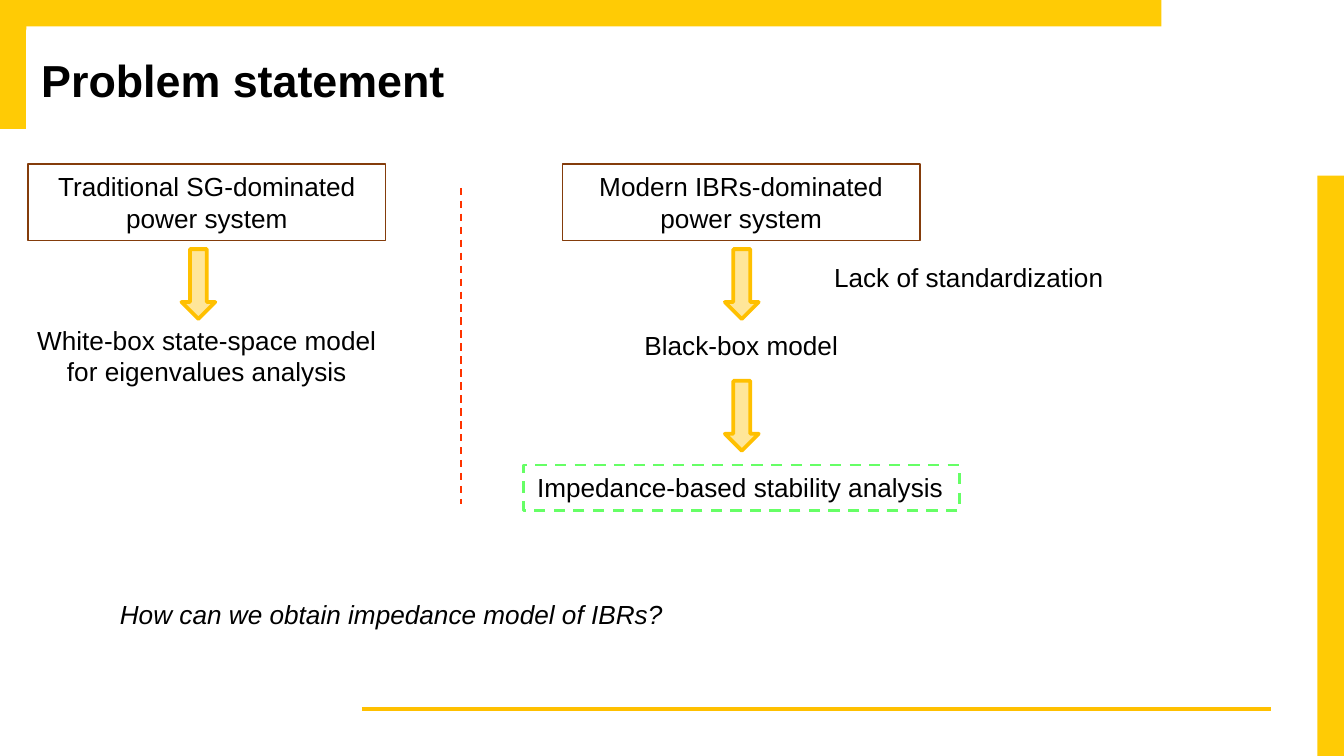
from lxml import etree
from pptx import Presentation
from pptx.dml.color import RGBColor
from pptx.enum import dml, shapes, text
from pptx.oxml import ns
from pptx.util import Cm, Pt

WHITE = RGBColor(0xFF, 0xFF, 0xFF)
BLACK = RGBColor(0x00, 0x00, 0x00)
YELLOW = RGBColor(0xFF, 0xCB, 0x05)
GOLD = RGBColor(0xFF, 0xC0, 0x00)
PALE_GOLD = RGBColor(0xFF, 0xE6, 0x99)
BROWN = RGBColor(0x84, 0x3C, 0x0B)
GREEN = RGBColor(0x66, 0xFF, 0x66)
RED = RGBColor(0xFF, 0x33, 0x00)
CENTER = text.PP_ALIGN.CENTER
LEFT = text.PP_ALIGN.LEFT

presentation = Presentation()
presentation.slide_width = Cm(25.4)
presentation.slide_height = Cm(14.29)
slide = presentation.slides.add_slide(presentation.slide_layouts[6])


def add_shape(kind, box, fill=None, line=None, width=1):
    shape = slide.shapes.add_shape(kind, *[Cm(length) for length in box])
    shape.shadow.inherit = False
    for format_fill, color in ((shape.fill, fill), (shape.line.fill, line)):
        if color is None:
            format_fill.background()
        else:
            format_fill.solid()
            format_fill.fore_color.rgb = color
    if line is not None:
        shape.line.width = Pt(width)
    return shape


def write(shape, words, size=14, align=CENTER, anchor=text.MSO_ANCHOR.TOP, wrap=True):
    frame = shape.text_frame
    frame.text = words
    frame.word_wrap = wrap
    frame.vertical_anchor = anchor
    paragraph = frame.paragraphs[0]
    paragraph.alignment = align
    font = paragraph.runs[0].font
    font.name = "Arial"
    font.size = Pt(size)
    font.color.rgb = BLACK
    return font


RECTANGLE = shapes.MSO_SHAPE.RECTANGLE
for bar in ((0, 0, 0.5, 2.44), (0, 0, 21.95, 0.5), (24.9, 3.32, 0.5, 11.05)):
    add_shape(RECTANGLE, bar, YELLOW)

title = add_shape(RECTANGLE, (0.53, 0.58, 22.05, 1.85), WHITE, WHITE, 2)
write(title, "Problem statement", 24, LEFT, text.MSO_ANCHOR.MIDDLE).bold = True

for left, words in (
    (0.53, "Traditional SG-dominated power system"),
    (10.63, "Modern IBRs-dominated power system"),
):
    system = add_shape(RECTANGLE, (left, 3.1, 6.76, 1.45), None, BROWN, 0.75)
    write(system, words)

analysis = add_shape(RECTANGLE, (9.9, 8.79, 8.23, 0.86), None, GREEN, 1.5)
analysis.line.dash_style = dml.MSO_LINE.DASH
write(analysis, "Impedance-based stability analysis", align=LEFT, wrap=False)

for left, top in ((3.43, 4.71), (13.7, 4.71), (13.7, 7.2)):
    add_shape(shapes.MSO_SHAPE.DOWN_ARROW, (left, top, 0.64, 1.32), PALE_GOLD, GOLD, 2)

for left, top, width, height, words, italic in (
    (0.4, 6, 7.02, 1.45, "White-box state-space model for eigenvalues analysis", False),
    (10.5, 6.1, 7.02, 0.86, "Black-box model", False),
    (14.8, 4.82, 7.02, 0.86, "Lack of standardization", False),
    (1.5, 11.18, 11.8, 0.86, "How can we obtain impedance model of IBRs?", True),
):
    label = slide.shapes.add_textbox(Cm(left), Cm(top), Cm(width), Cm(height))
    write(label, words).italic = italic

for start_x, start_y, end_x, end_y, color, width, dash in (
    (6.84, 13.4, 24.02, 13.4, GOLD, 2.25, dml.MSO_LINE.SOLID),
    (8.71, 3.55, 8.71, 9.52, RED, 1, dml.MSO_LINE.DASH),
):
    line = slide.shapes.add_connector(
        shapes.MSO_CONNECTOR.STRAIGHT, Cm(start_x), Cm(start_y), Cm(end_x), Cm(end_y)
    )
    line.line.color.rgb = color
    line.line.width = Pt(width)
    line.line.dash_style = dash
    etree.SubElement(line._element.spPr, ns.qn("a:effectLst"))

presentation.save("out.pptx")
